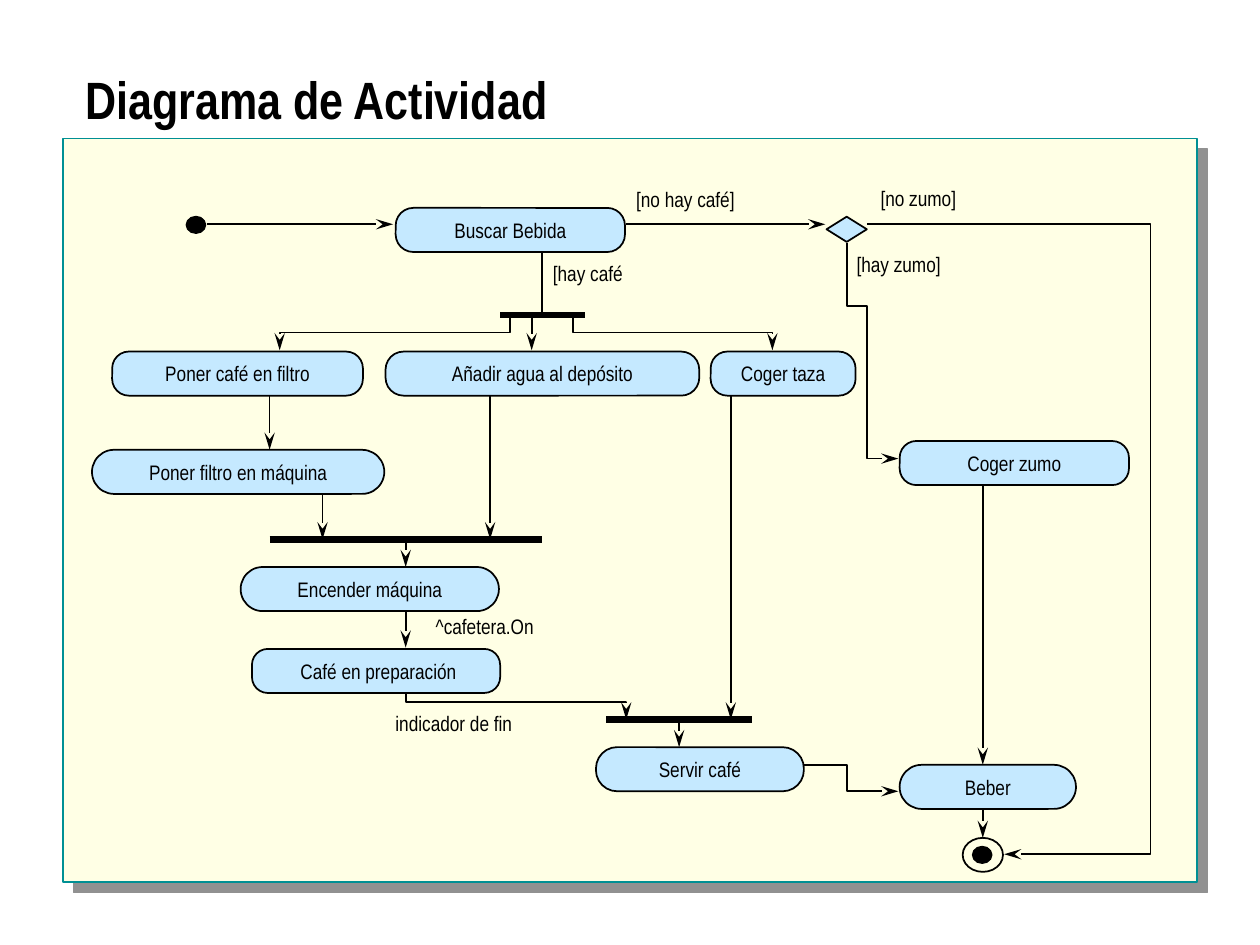
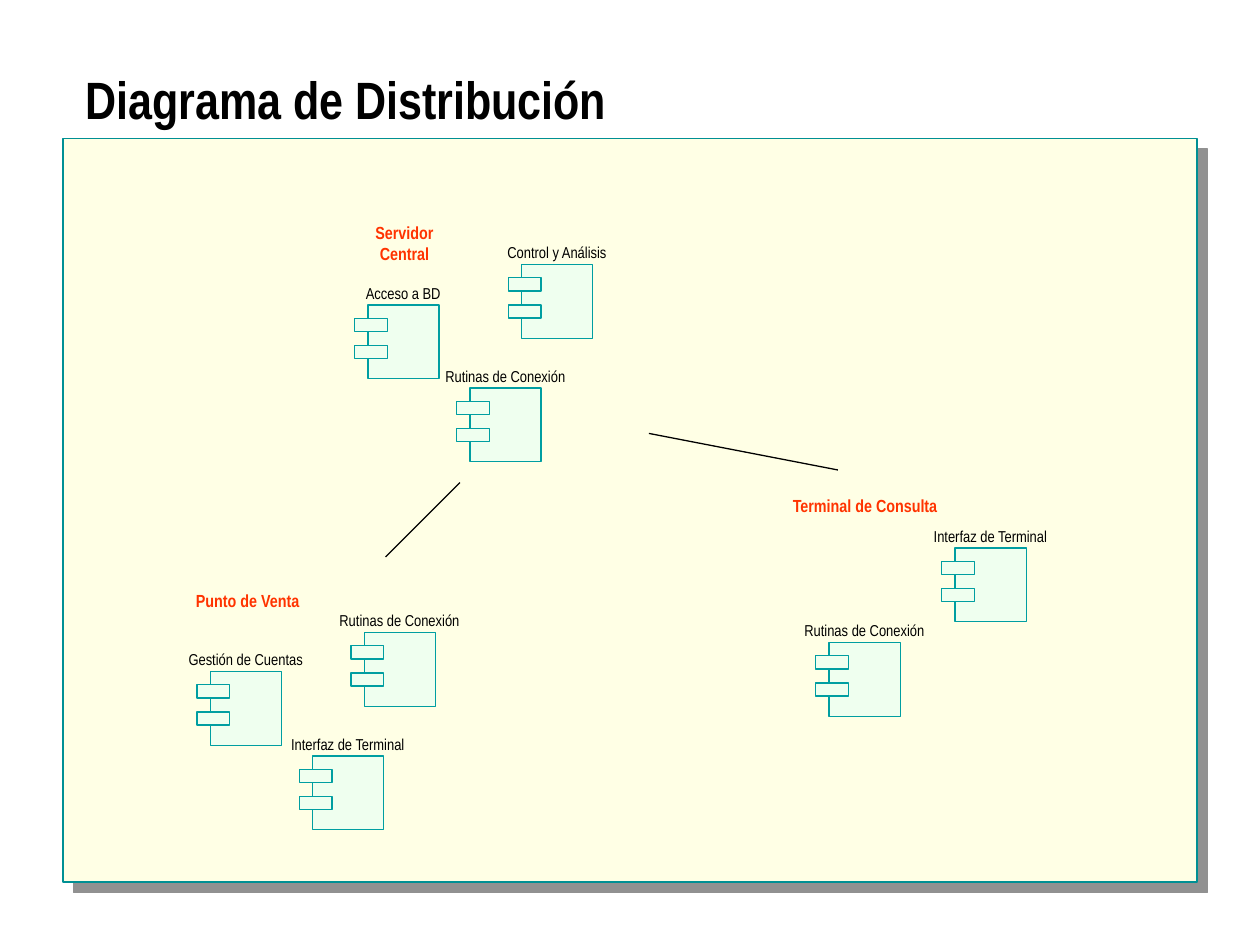
from lxml import etree
from pptx import Presentation
from pptx.dml.color import RGBColor
from pptx.enum.shapes import MSO_CONNECTOR as Connector, MSO_SHAPE as Kind
from pptx.enum.text import MSO_ANCHOR as Anchor, MSO_AUTO_SIZE as Fit, PP_ALIGN as Align
from pptx.oxml.ns import qn
from pptx.util import Inches, Pt

# Shared look
BLACK = RGBColor(0x00, 0x00, 0x00)
CREAM = RGBColor(0xFF, 0xFF, 0xE5)
TEAL = RGBColor(0x00, 0x90, 0x94)
SKY = RGBColor(0xC5, 0xE9, 0xFF)
MINT = RGBColor(0xEF, 0xFF, 0xEF)
SEA = RGBColor(0x00, 0x9E, 0xA1)
ORANGE = RGBColor(0xFF, 0x33, 0x00)
SHADOW = "919191"
FONT = "Arial Narrow"

deck = Presentation()
deck.slide_width, deck.slide_height = Inches(10), Inches(7.5)
CELL = deck.slide_width / 100  # square grid: 100 columns by 75 rows


def add_box(page, at, text="", kind=None, fill=None, line=None, weight=1, size=12,
            color=BLACK, bold=False, align=Align.LEFT, anchor=Anchor.TOP,
            inset=(1, 0.5), wrap=False, grow=False, spacing=None):
    """Add a preset shape, or a text box when no kind is given; at is in cells."""
    place = [round(cells * CELL) for cells in at]
    if kind is None:
        box = page.shapes.add_textbox(*place)
    else:
        box = page.shapes.add_shape(kind, *place)
        box.shadow.inherit = False
        if fill is None:
            box.fill.background()
        else:
            box.fill.solid()
            box.fill.fore_color.rgb = fill
        box.line.color.rgb = line
        box.line.width = Pt(weight)
    if text:
        frame = box.text_frame
        frame.word_wrap = wrap
        frame.auto_size = Fit.SHAPE_TO_FIT_TEXT if grow else Fit.NONE
        frame.vertical_anchor = anchor
        frame.margin_left = frame.margin_right = round(inset[0] * CELL)
        frame.margin_top = frame.margin_bottom = round(inset[1] * CELL)
        para = frame.paragraphs[0]
        para.alignment = align
        if spacing:
            para.line_spacing = spacing
        span = para.add_run()
        span.text = text
        span.font.name, span.font.size, span.font.bold = FONT, Pt(size), bold
        span.font.color.rgb = color
    return box


def add_path(page, points, weight=1, arrow=False):
    """Add a straight connector for two points, a bent open line for more."""
    spots = [(round(x * CELL), round(y * CELL)) for x, y in points]
    if len(spots) == 2:
        path = page.shapes.add_connector(Connector.STRAIGHT, *spots[0], *spots[1])
    else:
        builder = page.shapes.build_freeform(*spots[0])
        builder.add_line_segments(spots[1:], close=False)
        path = builder.convert_to_shape()
        path.fill.background()
    path.line.color.rgb = BLACK
    path.line.width = Pt(weight)
    frame = path.element.spPr
    if arrow:
        etree.SubElement(frame.find(qn("a:ln")), qn("a:tailEnd"),
                         type="stealth", w="med", len="lg")
    etree.SubElement(frame, qn("a:effectLst"))
    return path


# Both pages: panel with hard shadow, and title
pages = []
for title in ("Diagrama de Actividad", "Diagrama de Distribución"):
    page = deck.slides.add_slide(deck.slide_layouts[6])
    panel = add_box(page, (5, 11, 90, 59), kind=Kind.RECTANGLE, fill=CREAM, line=TEAL)
    effects = panel.element.spPr.find(qn("a:effectLst"))
    shade = etree.SubElement(effects, qn("a:outerShdw"), dist=str(Pt(8.5)),
                             dir="2700000", algn="ctr", rotWithShape="0")
    etree.SubElement(shade, qn("a:srgbClr"), val=SHADOW)
    add_box(page, (5.8, 5.8, 88.3, 5), title, size=30, bold=True, wrap=True,
            anchor=Anchor.MIDDLE, spacing=0.8)
    pages.append(page)
activity, deployment = pages

# Activities: text, left, top, width, corner
ACTIVITIES = [
    ("Buscar Bebida", 31.4, 16.5, 18.2, 0.4),
    ("Poner café en filtro", 8.9, 27.9, 19.9, 0.38),
    ("Añadir agua al depósito", 30.6, 27.9, 24.9, 0.41),
    ("Coger taza", 56.4, 27.9, 11.5, 0.38),
    ("Poner filtro en máquina", 7.3, 35.7, 23.2, 0.5),
    ("Encender máquina", 19.1, 45, 20.5, 0.5),
    (" Café en preparación", 20, 51.5, 19.7, 0.36),
    ("Servir café", 47.3, 59.3, 16.5, 0.48),
    ("Coger zumo", 71.4, 35, 18.2, 0.38),
    ("Beber", 71.4, 60.7, 14, 0.5),
]
for text, left, top, width, corner in ACTIVITIES:
    node = add_box(activity, (left, top, width, 3.5), text, kind=Kind.ROUNDED_RECTANGLE,
                   fill=SKY, line=BLACK, align=Align.CENTER, anchor=Anchor.MIDDLE)
    node.adjustments[0] = corner

# Start, end and decision
for left, top in ((14.8, 17.2), (77.2, 67.2)):
    add_box(activity, (left, top, 1.5, 1.3), kind=Kind.OVAL, fill=BLACK, line=BLACK)
end_ring = add_box(activity, (76.4, 66.5, 3.2, 2.7), kind=Kind.OVAL, line=BLACK)
add_box(activity, (65.6, 17.2, 3.2, 2), kind=Kind.DIAMOND, fill=SKY, line=BLACK)

# Synchronisation bars: left, right, row
for left, right, row in ((39.7, 46.4, 25), (21.4, 43, 42.8), (48.1, 59.7, 57.1)):
    add_path(activity, [(left, row), (right, row)], weight=4)

# Straight flows
add_path(activity, [(43, 20), (43, 25)])
for left, right in ((16.4, 31.2), (49.7, 65.5)):
    add_path(activity, [(left, 17.8), (right, 17.8)], arrow=True)
DOWNWARD = [
    (42.2, 25, 27.8), (21.4, 31.4, 35.7), (25.6, 39.3, 42.8), (38.9, 31.4, 42.8),
    (32.2, 42.8, 45), (32.2, 48.6, 51.4), (58, 31.4, 57.1), (53.9, 57.1, 59.3),
    (78, 38.6, 60.7),
]
for column, top, bottom in DOWNWARD:
    add_path(activity, [(column, top), (column, bottom)], arrow=True)
finish = add_path(activity, [(78, 64.3), (78, 66.5)], arrow=True)
finish.end_connect(end_ring, 0)

# Bent flows
BENT = [
    [(40.5, 25), (40.5, 26.4), (22.2, 26.4), (22.2, 27.8)],
    [(45.5, 25), (45.5, 26.4), (61.3, 26.4), (61.3, 27.8)],
    [(32.2, 55), (32.2, 55.7), (49.7, 55.7), (49.7, 57.1)],
    [(67.2, 19.3), (67.2, 24.3), (68.8, 24.3), (68.8, 36.4), (71.3, 36.4)],
    [(63.8, 60.7), (67.2, 60.7), (67.2, 62.8), (71.3, 62.8)],
    [(68.8, 17.8), (91.3, 17.8), (91.3, 67.8), (79.7, 67.8)],
]
for points in BENT:
    add_path(activity, points, arrow=True)

# Guards and events: text, left, top, width
LABELS = [
    ("[no hay café]", 49.5, 14.3, 9.9),
    ("[hay café", 42.9, 20.2, 7.6),
    ("[no zumo]", 68.9, 14.2, 8),
    ("[hay zumo]", 67, 19.5, 8.7),
    ("^cafetera.On", 33.6, 48.2, 9.8),
    ("indicador de fin", 30.4, 55.9, 11.3),
]
for text, left, top, width in LABELS:
    add_box(activity, (left, top, width, 3), text, grow=True)

# Deployment nodes: name, left, top, width, then components with body left and top
NODES = [
    ("Servidor Central", 27.3, 17.5, 9.6, [
        ("Acceso a BD", 29.2, 24.2),
        ("Control y Análisis", 41.4, 21),
        ("Rutinas de Conexión", 37.3, 30.8)]),
    ("Punto de Venta", 15.1, 46.7, 9.1, [
        ("Gestión de Cuentas", 16.7, 53.3),
        ("Rutinas de Conexión", 28.9, 50.2),
        ("Interfaz de Terminal", 24.8, 60)]),
    ("Terminal de Consulta", 62.5, 39.2, 12.3, [
        ("Interfaz de Terminal", 75.8, 43.5),
        ("Rutinas de Conexión", 65.8, 51)]),
]
for name, node_left, node_top, width, components in NODES:
    for text, left, top in components:
        parts = [(left, top, 5.65, 5.85)]
        parts += [(left - 1.05, top + drop, 2.6, 1.05) for drop in (1.05, 3.2)]
        for part in parts:
            add_box(deployment, part, kind=Kind.RECTANGLE, fill=MINT, line=SEA, weight=0.75)
        add_box(deployment, (left - 2.7, top - 1.8, 11, 1.7), text, size=9,
                align=Align.CENTER, inset=(0.4, 0.1), wrap=True, grow=True)
    add_box(deployment, (node_left, node_top, width, 1.9), name, size=10, color=ORANGE,
            bold=True, align=Align.CENTER, inset=(0.4, 0.1), grow=True)

# Links between nodes
for points in ([(51.5, 34.4), (66.5, 37.3)], [(36.5, 38.3), (30.6, 44.2)]):
    add_path(deployment, points, weight=0.75)

deck.save("out.pptx")
